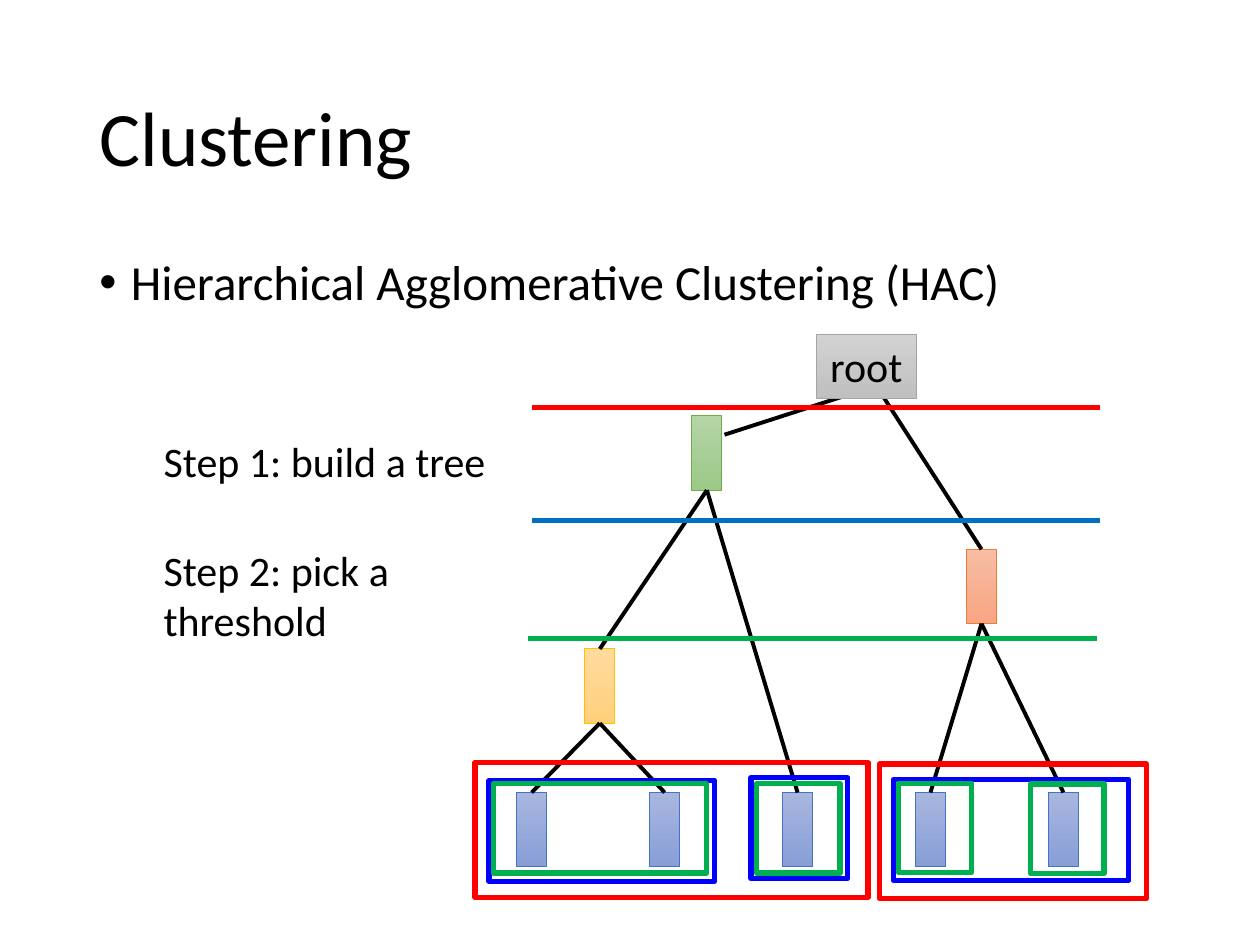
from lxml.etree import SubElement
from pptx import Presentation
from pptx.dml.color import RGBColor
from pptx.enum.shapes import MSO_CONNECTOR, MSO_SHAPE
from pptx.enum.text import MSO_ANCHOR, PP_ALIGN
from pptx.oxml.ns import qn
from pptx.util import Pt

FONT = "Calibri"
BLACK, RED, BLUE, GREEN = "000000", "FF0000", "0000FF", "00B050"
TOP, BOTTOM = 0, 2

NODE_W, NODE_H = 17.28, 42.48
LEAF_LEFT, LEAF_TOP, LEAF_STEP, LEAF_COUNT = 295.2, 452.88, 75.96, 5
LEAF_STYLE = ("A8B7DF", "889ED7", "4472C4")
INNER_NODES = {
    "yellow": (334.1, 370.8, ("FFDB9E", "FFD07C", "FFC000")),
    "orange": (552.25, 313.9, ("F7BDA5", "F8A582", "ED7D31")),
    "green": (395.3, 237.6, ("B5D5A7", "9CC987", "70AD47")),
}
EDGES = [
    ("yellow", 0), ("yellow", 1), ("orange", 4), ("orange", 3),
    ("green", 2), ("green", "yellow"),
]
ROOT = (466.56, 191.3, 56.9, 36.35)
ROOT_STYLE = ("D2D2D2", "C0C0C0", "A5A5A5")
ROOT_TO_ORANGE = (499.7, 218.9)
ROOT_TO_GREEN = (499, 221, 414, 248.4)

THRESHOLDS = [
    (303.84, 232.9, RED),
    (303.84, 297.4, "0070C0"),
    (301.7, 365, GREEN),
]
THRESHOLD_W = 325
CLUSTERS = [
    (BLUE, 57.6, [(279.4, 446, 128.9), (510.5, 445.4, 134.6), (429.1, 444.5, 55.4)]),
    (RED, 77.04, [(271.4, 435.7, 224.6), (502.6, 436.6, 152.6)]),
    (GREEN, 51.12, [(282.2, 447.8, 121.7), (432.5, 447.8, 47.5),
                    (513.4, 447.5, 41.8), (589, 448, 41.8)]),
]
STEPS = [
    ("Step 1: build a tree", (86.4, 245.5, 221.8, 36)),
    ("Step 2: pick a threshold", (86.4, 307.4, 184.3, 65.5)),
]


def rgb(value):
    return RGBColor.from_string(value)


def set_text(sp, text, size):
    tf = sp.text_frame
    tf.word_wrap = True
    tf.text = text
    p = tf.paragraphs[0]
    font = p.runs[0].font
    font.name, font.size, font.color.rgb = FONT, Pt(size), rgb(BLACK)
    return p


def add_text(slide, text, box, size, anchor=MSO_ANCHOR.TOP):
    sp = slide.shapes.add_textbox(*map(Pt, box))
    sp.text_frame.vertical_anchor = anchor
    return set_text(sp, text, size)


def add_rect(slide, box, color, width):
    sp = slide.shapes.add_shape(MSO_SHAPE.RECTANGLE, *map(Pt, box))
    sp.shadow.inherit = False
    sp.fill.background()
    sp.line.color.rgb = rgb(color)
    sp.line.width = Pt(width)
    return sp


def add_node(slide, box, style):
    *stops, outline = style
    sp = add_rect(slide, box, outline, 0.5)
    sp.fill.gradient()
    sp.fill.gradient_angle = 270
    for stop, color in zip(sp.fill.gradient_stops, stops):
        stop.color.rgb = rgb(color)
    return sp


def add_line(slide, ends, color=BLACK, width=2.25):
    line = slide.shapes.add_connector(MSO_CONNECTOR.STRAIGHT, *map(Pt, ends))
    line.line.color.rgb = rgb(color)
    line.line.width = Pt(width)
    SubElement(line._element.spPr, qn("a:effectLst"))
    return line


def add_bullet(p):
    pPr = p._p.get_or_add_pPr()
    pPr.set("marL", str(Pt(18)))
    pPr.set("indent", str(-Pt(18)))
    SubElement(pPr, qn("a:buFont")).set("typeface", "Arial")
    SubElement(pPr, qn("a:buChar")).set("char", "•")


def main():
    prs = Presentation()
    prs.slide_width, prs.slide_height = Pt(720), Pt(540)
    slide = prs.slides.add_slide(prs.slide_layouts[6])

    title = add_text(slide, "Clustering", (49.7, 28.8, 620.6, 104.4), 44, MSO_ANCHOR.MIDDLE)
    title.line_spacing = 0.9
    body = add_text(slide, "Hierarchical Agglomerative Clustering (HAC)",
                    (49.7, 144, 620.6, 342.7), 28)
    body.line_spacing = 0.9
    body.space_before = Pt(10)
    add_bullet(body)
    for text, box in STEPS:
        add_text(slide, text, box, 24)

    nodes = {}
    for i in range(LEAF_COUNT):
        box = (LEAF_LEFT + i * LEAF_STEP, LEAF_TOP, NODE_W, NODE_H)
        nodes[i] = add_node(slide, box, LEAF_STYLE)
    for name, (left, top, style) in INNER_NODES.items():
        nodes[name] = add_node(slide, (left, top, NODE_W, NODE_H), style)

    for parent, child in EDGES:
        edge = add_line(slide, (0, 0, 0, 0))
        edge.begin_connect(nodes[child], TOP)
        edge.end_connect(nodes[parent], BOTTOM)
    edge = add_line(slide, ROOT_TO_ORANGE * 2)
    edge.begin_connect(nodes["orange"], TOP)
    add_line(slide, ROOT_TO_GREEN)

    root = add_node(slide, ROOT, ROOT_STYLE)
    root.text_frame.vertical_anchor = MSO_ANCHOR.TOP
    set_text(root, "root", 24).alignment = PP_ALIGN.CENTER
    root.text_frame.word_wrap = False

    for left, y, color in THRESHOLDS:
        add_line(slide, (left + THRESHOLD_W, y, left, y), color, 3)
    for color, height, boxes in CLUSTERS:
        for left, top, width in boxes:
            add_rect(slide, (left, top, width, height), color, 3)

    prs.save("out.pptx")


if __name__ == "__main__":
    main()
